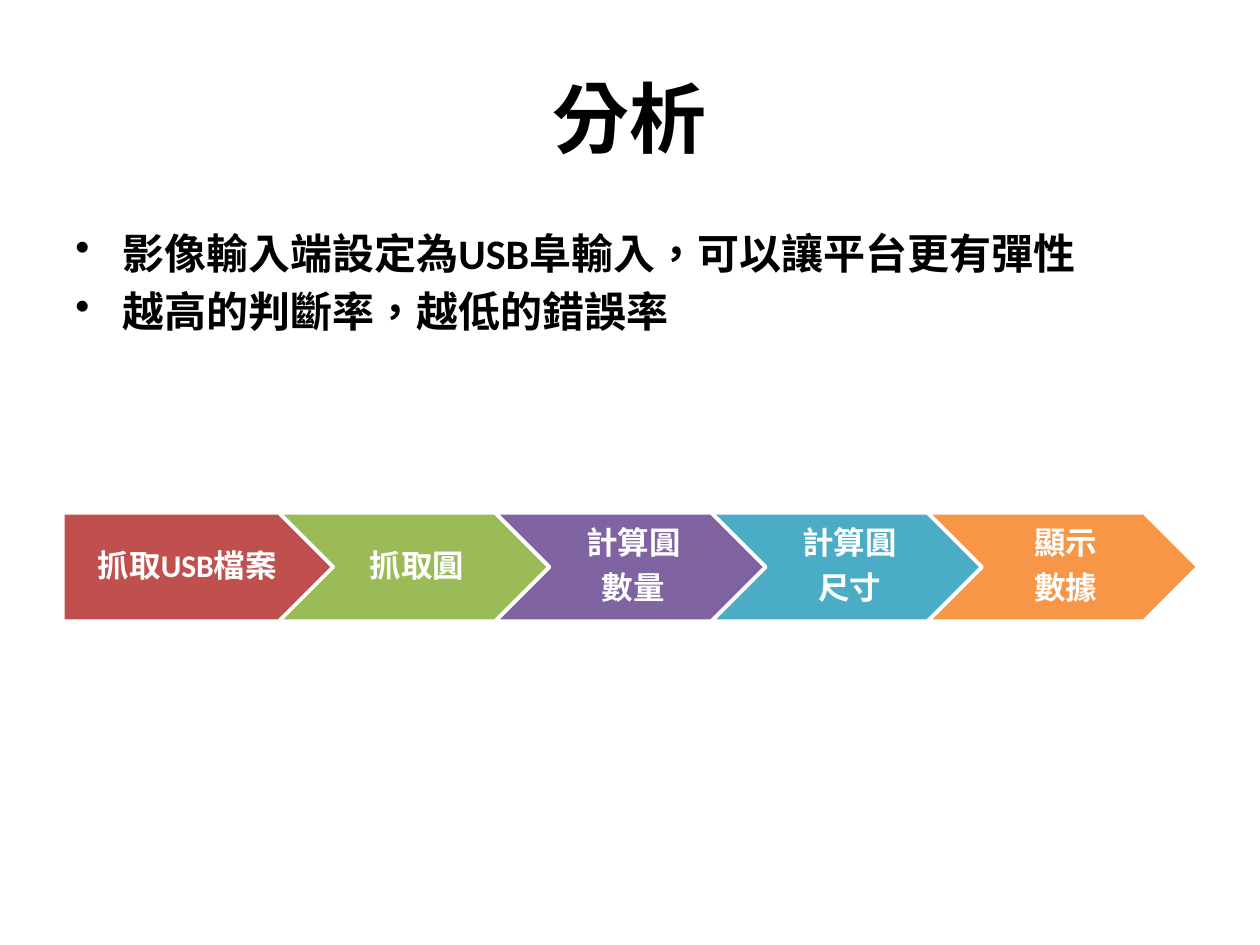
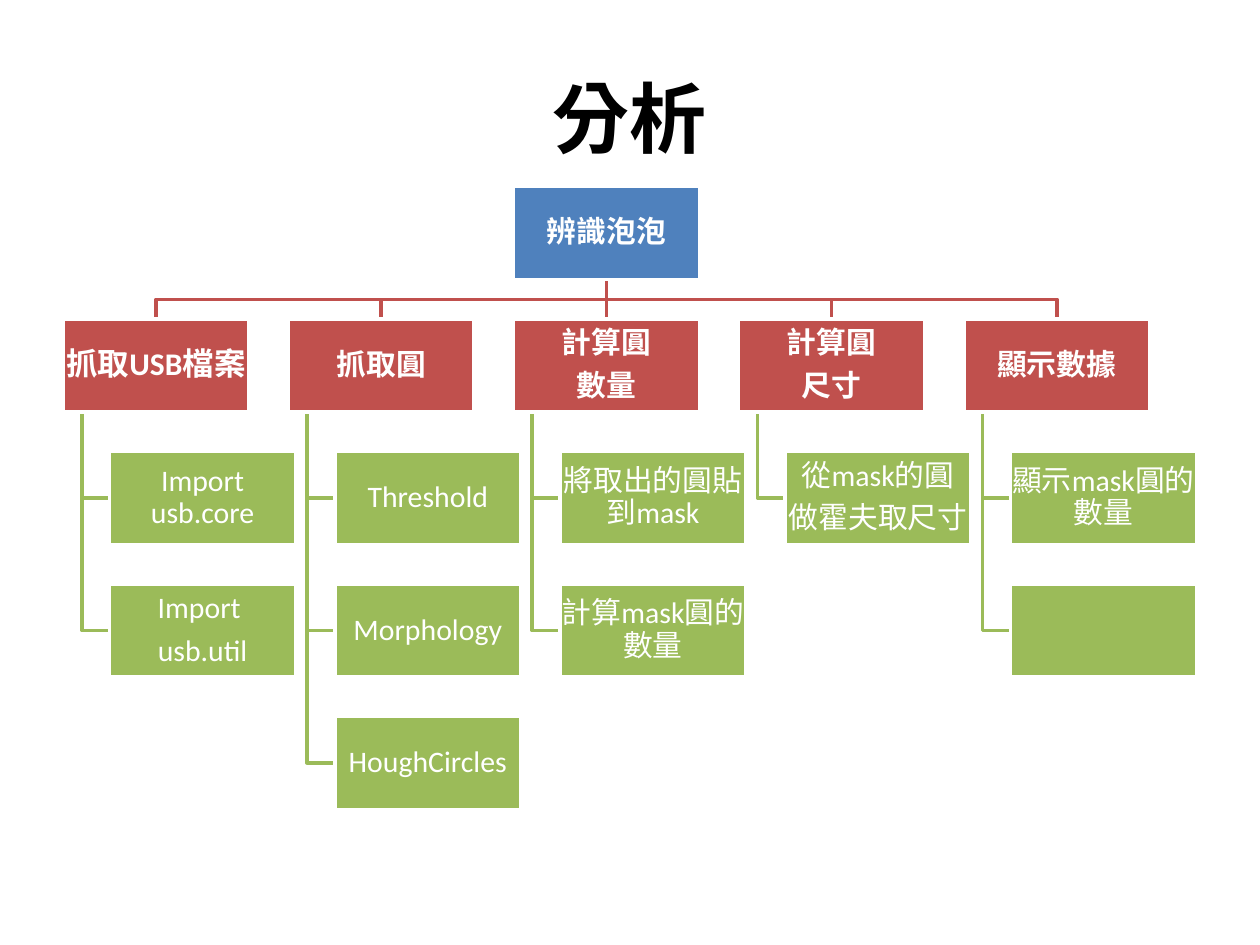
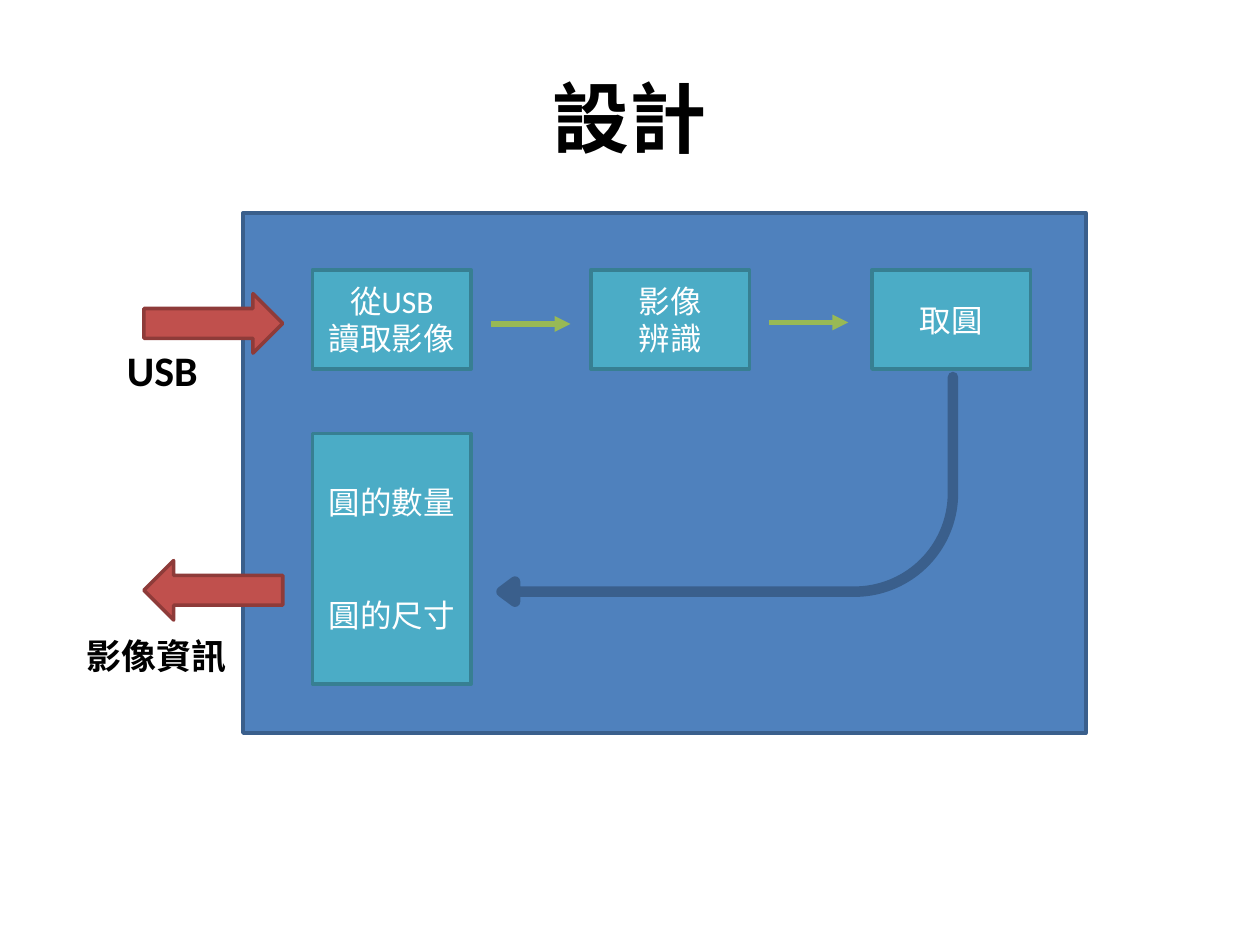
"""Build three slides on the analysis and design of a circle-recognition program."""
from lxml import etree
from pptx import Presentation
from pptx.dml.color import RGBColor
from pptx.enum.lang import MSO_LANGUAGE_ID
from pptx.enum.shapes import MSO_CONNECTOR, MSO_SHAPE
from pptx.enum.text import MSO_ANCHOR, PP_ALIGN
from pptx.oxml.ns import qn
from pptx.util import Cm, Pt

RECTANGLE = MSO_SHAPE.RECTANGLE
PENTAGON = MSO_SHAPE.PENTAGON
CHEVRON = MSO_SHAPE.CHEVRON
RIGHT_ARROW = MSO_SHAPE.RIGHT_ARROW
BENT_ARROW = MSO_SHAPE.BENT_ARROW
STRAIGHT = MSO_CONNECTOR.STRAIGHT
TOP, MIDDLE = MSO_ANCHOR.TOP, MSO_ANCHOR.MIDDLE
LEFT, CENTER = PP_ALIGN.LEFT, PP_ALIGN.CENTER
CHINESE = MSO_LANGUAGE_ID.TRADITIONAL_CHINESE

BLACK, WHITE = "000000", "FFFFFF"
BLUE, DARK_BLUE = "4F81BD", "3A5F8C"
RED, DARK_RED = "C0504D", "8E3B39"
GREEN, ARROW_GREEN = "9BBB59", "98B955"
PURPLE, ORANGE = "8064A2", "F79646"
TEAL, DARK_TEAL = "4BACC6", "377F92"
LATIN_FONT, CHINESE_FONT = "Calibri", "Noto Sans CJK SC"

color = RGBColor.from_string


def add_box(slide, kind, left, top, width, height, fill, line, line_width=2):
    """Add a filled and outlined preset shape."""
    shape = slide.shapes.add_shape(kind, Cm(left), Cm(top), Cm(width), Cm(height))
    shape.shadow.inherit = False
    shape.fill.solid()
    shape.fill.fore_color.rgb = color(fill)
    shape.line.color.rgb = color(line)
    shape.line.width = Pt(line_width)
    return shape


def write(shape, lines, size, text_color=WHITE, bold=False, align=CENTER,
          anchor=MIDDLE, gap=0, spacing=1.0, margins=(0.25, 0.13, 0.25, 0.13)):
    """Write one paragraph per line into a shape."""
    frame = shape.text_frame
    frame.word_wrap = True
    frame.vertical_anchor = anchor
    frame.margin_left, frame.margin_top, frame.margin_right, frame.margin_bottom = map(Cm, margins)
    for index, line in enumerate(lines):
        paragraph = frame.add_paragraph() if index else frame.paragraphs[0]
        paragraph.alignment = align
        paragraph.line_spacing = spacing
        paragraph.space_before = Pt(gap if index else 0)
        run = paragraph.add_run()
        run.text = line
        run.font.size = Pt(size)
        run.font.bold = bold
        run.font.color.rgb = color(text_color)
        run.font.name = LATIN_FONT
        run.font.language_id = CHINESE
        etree.SubElement(run.font._element, qn("a:ea"), typeface=CHINESE_FONT)
    return frame


presentation = Presentation()
presentation.slide_width = Cm(25.4)
presentation.slide_height = Cm(19.05)

slides = []
for title in ["分析", "分析", "設計"]:
    slide = presentation.slides.add_slide(presentation.slide_layouts[6])
    title_box = slide.shapes.add_textbox(Cm(1.27), Cm(0.76), Cm(22.86), Cm(3.18))
    write(title_box, [title], 44, BLACK, bold=True)
    slides.append(slide)
process_slide, tree_slide, design_slide = slides

body = process_slide.shapes.add_textbox(Cm(1.27), Cm(4.45), Cm(22.86), Cm(12.57))
points = ["影像輸入端設定為USB阜輸入，可以讓平台更有彈性", "越高的判斷率，越低的錯誤率"]
frame = write(body, points, 24, BLACK, bold=True, align=LEFT, anchor=TOP, gap=4.8)
for paragraph in frame.paragraphs:
    properties = paragraph._p.get_or_add_pPr()
    properties.set("marL", str(Cm(0.95)))
    properties.set("indent", str(-Cm(0.95)))
    etree.SubElement(properties, qn("a:buChar"), char="•")

steps = [
    (PENTAGON, RED, ["抓取USB檔案"]),
    (CHEVRON, GREEN, ["抓取圓"]),
    (CHEVRON, PURPLE, ["計算圓", "數量"]),
    (CHEVRON, TEAL, ["計算圓", "尺寸"]),
    (CHEVRON, ORANGE, ["顯示", "數據"]),
]
for index, (kind, fill, lines) in enumerate(steps):
    step = add_box(process_slide, kind, 1.27 + 4.36 * index, 10.34, 5.44, 2.18, fill, WHITE)
    write(step, lines, 18, bold=True, gap=6.3, spacing=0.9, margins=(0.2, 0.13, 0.08, 0.13))

box_width, box_height = 3.75, 1.88
column_pitch, row_pitch = 4.54, 2.67
first_left, root_top = 1.27, 3.76
child_indent, trunk_indent = 0.94, 0.38
branches = [
    (["抓取USB檔案"], 18, [["Import usb.core"], ["Import ", "usb.util"]]),
    (["抓取圓"], 17, [["Threshold"], ["Morphology"], ["HoughCircles"]]),
    (["計算圓", "數量"], 17, [["將取出的圓貼到mask"], ["計算mask圓的數量"]]),
    (["計算圓", "尺寸"], 17, [["從mask的圓", "做霍夫取尺寸"]]),
    (["顯示數據"], 17, [["顯示mask圓的數量"], []]),
]
root_left = first_left + 2 * column_pitch
root_middle = root_left + box_width / 2
root_bottom = root_top + box_height
branch_top = root_top + row_pitch
branch_bottom = branch_top + box_height
bar = (root_bottom + branch_top) / 2

nodes = [(root_left, root_top, BLUE, ["辨識泡泡"], 17, True)]
links = []
for column, (heading, size, children) in enumerate(branches):
    left = first_left + column * column_pitch
    middle = left + box_width / 2
    trunk = left + trunk_indent
    child_left = left + child_indent
    nodes.append((left, branch_top, RED, heading, size, True))
    links.append((RED, [(root_middle, root_bottom), (root_middle, bar),
                        (middle, bar), (middle, branch_top)]))
    for row, lines in enumerate(children, start=1):
        top = branch_top + row * row_pitch
        child_middle = top + box_height / 2
        nodes.append((child_left, top, GREEN, lines, 17, False))
        links.append((GREEN, [(trunk, branch_bottom), (trunk, child_middle),
                              (child_left, child_middle)]))

for line_color, points in links:
    corners = [(Cm(x), Cm(y)) for x, y in points]
    builder = tree_slide.shapes.build_freeform(*corners[0])
    builder.add_line_segments(corners[1:], close=False)
    link = builder.convert_to_shape()
    link.shadow.inherit = False
    link.fill.background()
    link.line.color.rgb = color(line_color)
    link.line.width = Pt(2)

for left, top, fill, lines, size, bold in nodes:
    node = add_box(tree_slide, RECTANGLE, left, top, box_width, box_height, fill, WHITE)
    write(node, lines, size, bold=bold, gap=6, spacing=0.9, margins=(0.03,) * 4)

add_box(design_slide, RECTANGLE, 4.9, 4.29, 16.99, 10.49, BLUE, DARK_BLUE)
for top, rotation in [(5.92, 0), (11.3, 180)]:
    port_arrow = add_box(design_slide, RIGHT_ARROW, 2.9, top, 2.8, 1.2, RED, DARK_RED)
    port_arrow.rotation = rotation

for label, left, top, width, size in [("USB", 2.31, 6.81, 2.6, 24), ("影像資訊", 1.5, 12.67, 3.4, 20)]:
    label_box = design_slide.shapes.add_textbox(Cm(left), Cm(top), Cm(width), Cm(1.2))
    write(label_box, [label], size, BLACK, bold=True, align=LEFT, anchor=TOP)

return_arrow = add_box(design_slide, BENT_ARROW, 10.11, 7.6, 9.1, 4.53, BLUE, DARK_BLUE, 6)
return_arrow.rotation = 180
for index, value in enumerate([0, 0.045, 0.06, 0.438]):
    return_arrow.adjustments[index] = value

stages = [
    (6.3, 5.44, 2.0, ["從USB", "讀取影像"], 0),
    (11.91, 5.44, 2.0, ["影像", "辨識"], 0),
    (17.58, 5.44, 2.0, ["取圓"], 0),
    (6.3, 8.74, 5.05, ["圓的數量", "圓的尺寸"], 43),
]
for left, top, height, lines, gap in stages:
    stage = add_box(design_slide, RECTANGLE, left, top, 3.2, height, TEAL, DARK_TEAL)
    write(stage, lines, 18, gap=gap)

for left, top in [(9.9, 6.53), (15.5, 6.5)]:
    arrow = design_slide.shapes.add_connector(STRAIGHT, Cm(left), Cm(top), Cm(left + 1.6), Cm(top))
    arrow.line.color.rgb = color(ARROW_GREEN)
    arrow.line.width = Pt(3)
    etree.SubElement(arrow.line._get_or_add_ln(), qn("a:tailEnd"), type="triangle")
    etree.SubElement(arrow._element.spPr, qn("a:effectLst"))

presentation.save("out.pptx")
